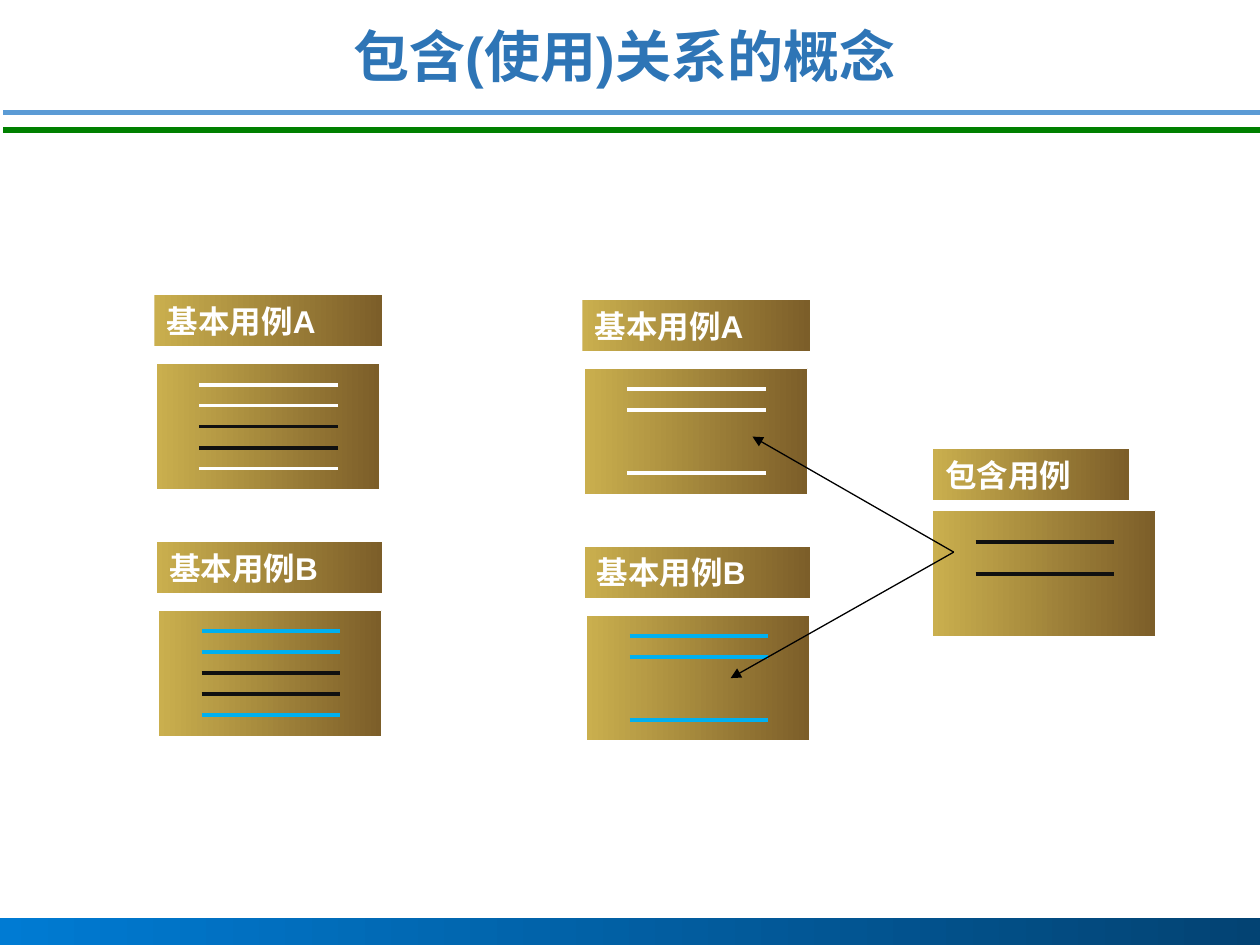
from pptx import Presentation
from pptx.dml.color import RGBColor
from pptx.enum.shapes import MSO_CONNECTOR, MSO_SHAPE
from pptx.enum.text import MSO_ANCHOR, PP_ALIGN
from pptx.oxml.ns import qn
from pptx.util import Pt
from lxml.etree import SubElement

COLORS = {
    "white": "FFFFFF",
    "black": "000000",
    "ink": "101010",
    "cyan": "00B0F0",
    "title": "2E75B6",
    "rule_blue": "5B9BD5",
    "rule_green": "008000",
    "gold": "CAAF4E",
    "bronze": "7C5E29",
    "footer_light": "007BD3",
    "footer_dark": "034373",
}


class SlideBuilder:
    """Holds the style and the current slide, with all lengths in points."""

    font = "Arial"
    body_width, body_height = 127.5, 72
    step_inset, step_width = 24.5, 79

    def __init__(self, page):
        self.page = page

    def color(self, name):
        return RGBColor.from_string(COLORS[name])

    def set_text(self, shape, text, size, color, align):
        frame = shape.text_frame
        frame.word_wrap = True
        para = frame.paragraphs[0]
        para.text = text
        para.alignment = align
        para.font.name = self.font
        para.font.size = Pt(size)
        para.font.bold = True
        para.font.color.rgb = self.color(color)
        return frame

    def title(self, text, left, top, width, height):
        box = self.page.shapes.add_textbox(Pt(left), Pt(top), Pt(width), Pt(height))
        frame = self.set_text(box, text, 32, "title", PP_ALIGN.CENTER)
        frame.vertical_anchor = MSO_ANCHOR.BOTTOM

    def gradient_box(self, left, top, width, height, ends=("gold", "bronze"), outline=None):
        box = self.page.shapes.add_shape(
            MSO_SHAPE.RECTANGLE, Pt(left), Pt(top), Pt(width), Pt(height))
        box.shadow.inherit = False
        box.fill.gradient()
        box.fill.gradient_angle = 0
        for stop, name in zip(box.fill.gradient_stops, ends):
            stop.color.rgb = self.color(name)
        if outline:
            box.line.color.rgb = self.color(outline)
            box.line.width = Pt(0.75)
        else:
            box.line.fill.background()
        return box

    def line(self, start, end, color, width, arrow=False):
        connector = self.page.shapes.add_connector(
            MSO_CONNECTOR.STRAIGHT, *(Pt(value) for value in (*start, *end)))
        connector.line.color.rgb = self.color(color)
        connector.line.width = Pt(width)
        properties = connector._element.spPr
        if arrow:
            SubElement(properties.find(qn("a:ln")), qn("a:tailEnd"), type="triangle")
        SubElement(properties, qn("a:effectLst"))

    def use_case(self, name, left, top, label_width, steps,
                 label_shift=(-1.25, -39), first_step=12, pitch=12):
        self.gradient_box(left, top, self.body_width, self.body_height, outline="white")
        label = self.gradient_box(
            left + label_shift[0], top + label_shift[1], label_width, 29)
        self.set_text(label, name, 18, "white", PP_ALIGN.LEFT)
        start = left + self.step_inset
        for index, color in enumerate(steps):
            if color:
                y = top + first_step + index * pitch
                self.line((start, y), (start + self.step_width, y), color, 2.25)


def main():
    deck = Presentation()
    deck.slide_width, deck.slide_height = Pt(720), Pt(540)
    builder = SlideBuilder(deck.slides.add_slide(deck.slide_layouts[6]))

    builder.gradient_box(-3, 524.75, 725, 29, ("footer_light", "footer_dark"))
    for y, color in ((64.25, "rule_blue"), (74.25, "rule_green")):
        builder.line((2, y), (722, y), color, 3)

    cases = (
        ("基本用例A", 0, 0, 130, "white"),
        ("基本用例B", 1.25, 141, 129, "cyan"),
    )
    columns = ((89.5, 207.75, "ink"), (334, 210.5, None))
    for left, top, shared in columns:
        for name, dx, dy, label_width, own in cases:
            steps = (own, own, shared, shared, own)
            builder.use_case(name, left + dx, top + dy, label_width, steps)
    builder.use_case("包含用例", 533, 291.75, 112, ("ink", "ink"),
                     label_shift=(0, -35), first_step=18, pitch=18)

    for target in ((430, 249.5), (417.5, 387.5)):
        builder.line((545, 315.5), target, "black", 0.75, arrow=True)

    builder.title("包含(使用)关系的概念", 0, 18, 714, 36)
    deck.save("out.pptx")


if __name__ == "__main__":
    main()
